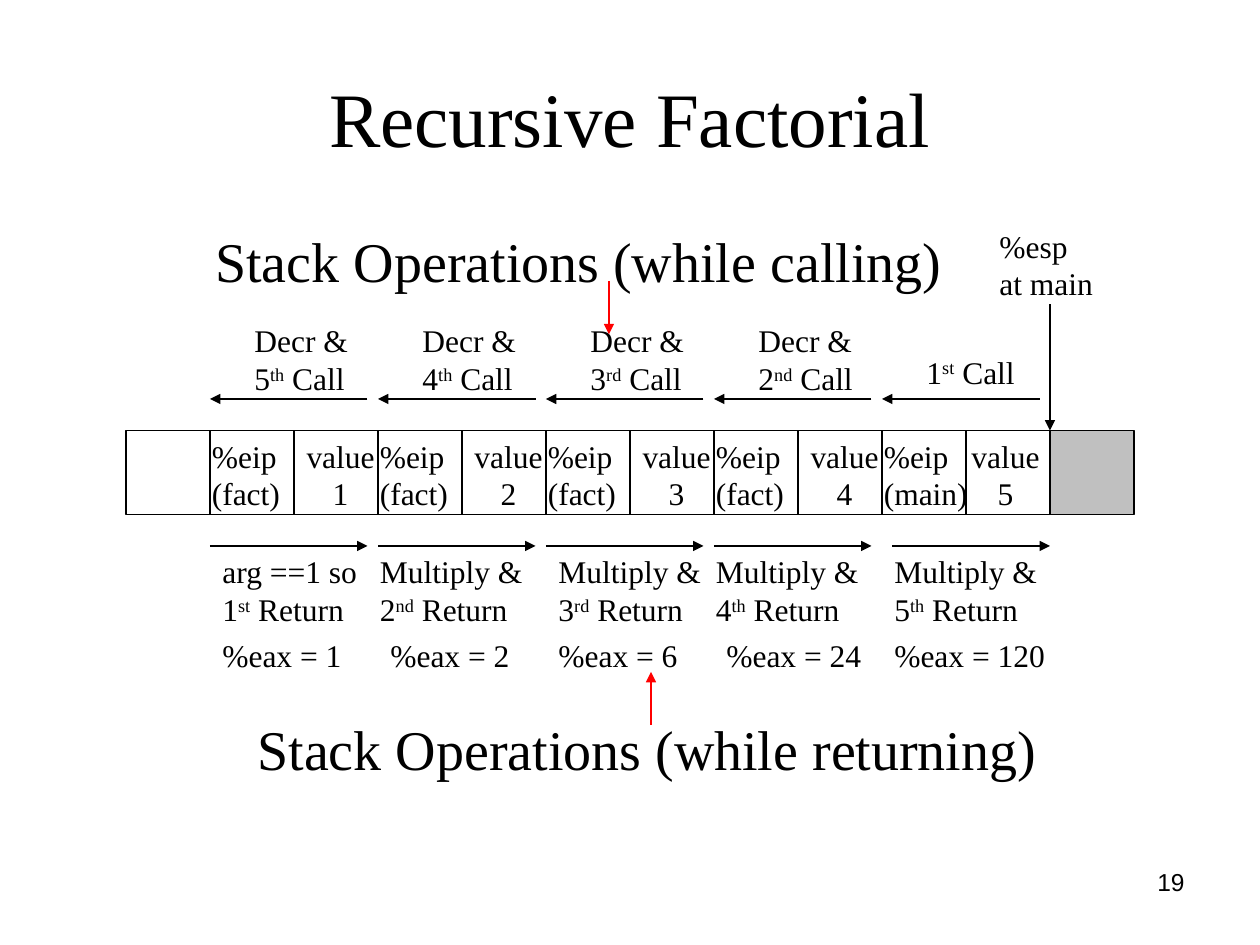
from lxml import etree
from pptx import Presentation
from pptx.dml.color import RGBColor
from pptx.enum.shapes import MSO_CONNECTOR, MSO_SHAPE
from pptx.enum.text import MSO_ANCHOR, PP_ALIGN
from pptx.oxml.ns import qn
from pptx.util import Pt

STRAIGHT = MSO_CONNECTOR.STRAIGHT
RECTANGLE = MSO_SHAPE.RECTANGLE
LEFT, CENTER, RIGHT = PP_ALIGN.LEFT, PP_ALIGN.CENTER, PP_ALIGN.RIGHT
TOP, MIDDLE = MSO_ANCHOR.TOP, MSO_ANCHOR.MIDDLE

BLACK = RGBColor(0x00, 0x00, 0x00)
RED = RGBColor(0xFF, 0x00, 0x00)
GRAY = RGBColor(0xC0, 0xC0, 0xC0)

CELL = 48
CELL_COUNT = 12
STACK_LEFT, STACK_TOP = 72, 246
FRAME_LEFT = STACK_LEFT + CELL
FRAME_WIDTH = 2 * CELL
ARROW_LENGTH = 90
CALL_Y, RETURN_Y = 228, 312
ESP_X = STACK_LEFT + (CELL_COUNT - 1) * CELL
ONE_LINE, TWO_LINES = 28.8, 50.4

FRAMES = [
    ("fact", 1, "Decr &\n5^th^ Call", "arg ==1 so\n1^st^ Return", 1, 0),
    ("fact", 2, "Decr &\n4^th^ Call", "Multiply &\n2^nd^ Return", 2, -6),
    ("fact", 3, "Decr &\n3^rd^ Call", "Multiply &\n3^rd^ Return", 6, 0),
    ("fact", 4, "Decr &\n2^nd^ Call", "Multiply &\n4^th^ Return", 24, -6),
    ("main", 5, "1^st^ Call", "Multiply &\n5^th^ Return", 120, 0),
]


def add_text(slide, text, left, top, width, height, size=18, font="Times New Roman",
             align=LEFT, anchor=TOP, wrap=False):
    box = slide.shapes.add_textbox(Pt(left), Pt(top), Pt(width), Pt(height))
    frame = box.text_frame
    frame.word_wrap = wrap
    frame.vertical_anchor = anchor
    for number, line in enumerate(text.split("\n")):
        paragraph = frame.add_paragraph() if number else frame.paragraphs[0]
        paragraph.alignment = align
        for position, part in enumerate(line.split("^")):
            run = paragraph.add_run()
            run.text = part
            run.font.size = Pt(size)
            run.font.name = font
            run.font.color.rgb = BLACK
            if position % 2:
                run._r.get_or_add_rPr().set("baseline", "30000")


def add_arrow(slide, x1, y1, x2, y2, color=BLACK):
    arrow = slide.shapes.add_connector(STRAIGHT, Pt(x1), Pt(y1), Pt(x2), Pt(y2))
    arrow.line.color.rgb = color
    arrow.line.width = Pt(0.75)
    etree.SubElement(arrow.line._get_or_add_ln(), qn("a:tailEnd"), type="triangle")
    etree.SubElement(arrow._element.spPr, qn("a:effectLst"))


def add_cell(slide, index):
    cell = slide.shapes.add_shape(
        RECTANGLE, Pt(STACK_LEFT + index * CELL), Pt(STACK_TOP), Pt(CELL), Pt(CELL))
    cell.shadow.inherit = False
    cell.line.color.rgb = BLACK
    cell.line.width = Pt(0.75)
    if index == CELL_COUNT - 1:
        cell.fill.solid()
        cell.fill.fore_color.rgb = GRAY
    else:
        cell.fill.background()


def add_frame(slide, index, caller, value, call, result, eax, shift):
    left = FRAME_LEFT + index * FRAME_WIDTH
    is_first_call = caller == "main"
    value_left = left + CELL - (4 if is_first_call else 0)
    call_top, call_height = (198, ONE_LINE) if is_first_call else (180, TWO_LINES)
    return_left = left + (6 if is_first_call else 0)

    add_text(slide, f"%eip\n({caller})", left - 6, STACK_TOP, 66, TWO_LINES)
    add_text(slide, f"value\n{value}", value_left, STACK_TOP, 53.3, TWO_LINES, align=CENTER)
    add_text(slide, call, left + 18.3, call_top, 74, call_height)
    add_arrow(slide, left + ARROW_LENGTH, CALL_Y, left, CALL_Y)
    add_arrow(slide, return_left, RETURN_Y, return_left + ARROW_LENGTH, RETURN_Y)
    add_text(slide, result, left + shift, RETURN_Y, 98, TWO_LINES)
    add_text(slide, f"%eax = {eax}", left, 360, 78 + 9 * len(str(eax)), ONE_LINE)


def main():
    presentation = Presentation()
    presentation.slide_width, presentation.slide_height = Pt(720), Pt(540)
    slide = presentation.slides.add_slide(presentation.slide_layouts[6])

    add_text(slide, "Recursive Factorial", 36, 21.6, 648, 90,
             size=44, align=CENTER, anchor=MIDDLE, wrap=True)
    add_text(slide, "Stack Operations (while calling)", 116, 126, 440, 44, size=32)
    add_text(slide, "Stack Operations (while returning)", 140, 405, 470, 44, size=32)

    for index in range(CELL_COUNT):
        add_cell(slide, index)
    for index, frame in enumerate(FRAMES):
        add_frame(slide, index, *frame)

    add_text(slide, "%esp\nat main", 564, 126, 72, TWO_LINES)
    add_arrow(slide, ESP_X, 174, ESP_X, STACK_TOP)
    add_arrow(slide, 348, 160.5, 348, 191, color=RED)
    add_arrow(slide, 372, 414, 372, 384, color=RED)
    add_text(slide, "19", 516, 492, 168, 37.4, size=14, font="Arial", align=RIGHT, wrap=True)

    presentation.save("out.pptx")


if __name__ == "__main__":
    main()
